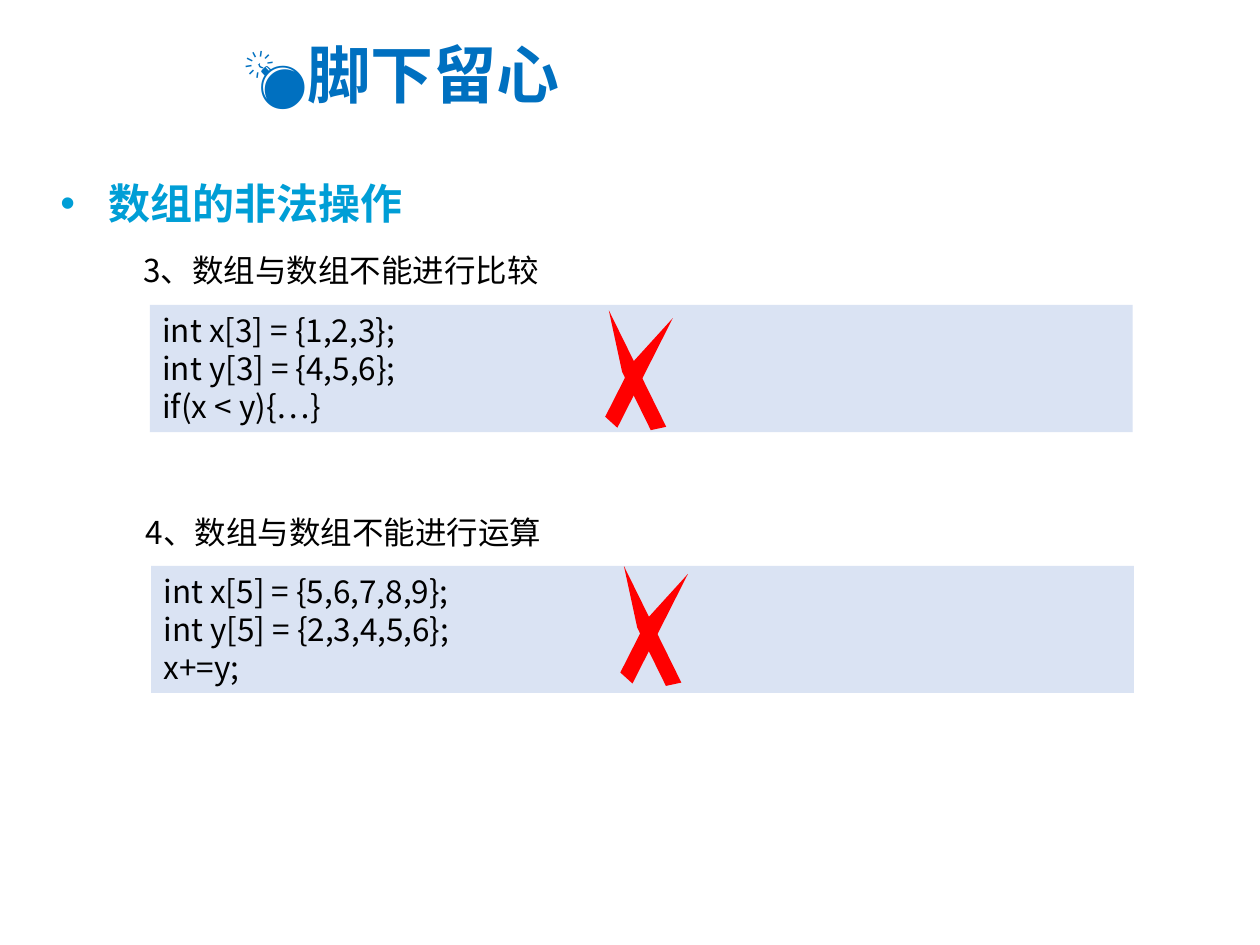
import pptx
import pptx.util
import pptx.dml.color
import pptx.enum.shapes
import pptx.enum.text
import pptx.oxml.ns
from lxml import etree

Inches, Pt = pptx.util.Inches, pptx.util.Pt
qn = pptx.oxml.ns.qn
MSO_SHAPE = pptx.enum.shapes.MSO_SHAPE
MSO_ANCHOR = pptx.enum.text.MSO_ANCHOR

# Content
FONT = "Noto Sans CJK SC"
TITLE = "💣脚下留心"
TOPIC = "数组的非法操作"
# Each mistake: heading, code, and the left/top of heading, code box and cross
MISTAKES = [
    {"heading": "3、数组与数组不能进行比较",
     "code": ["int x[3] = {1,2,3};", "int y[3] = {4,5,6};", "if(x < y){…}"],
     "heading_at": (0.54, 1.94), "code_at": (1.19, 2.42), "cross_at": (4.56, 2.8)},
    {"heading": "4、数组与数组不能进行运算",
     "code": ["int x[5] = {5,6,7,8,9};", "int y[5] = {2,3,4,5,6};", "x+=y;"],
     "heading_at": (0.56, 4.02), "code_at": (1.2, 4.49), "cross_at": (4.68, 4.83)},
]
# Strokes of a cross: offset x, offset y, width, height, rotation
CROSS_STROKES = [(0.09, 0.03, 0.94, 0.26, 312.3), (0, 0, 1, 0.25, 257.8)]


def color(hex_string):
    return pptx.dml.color.RGBColor.from_string(hex_string)


def place(part, left, top, width, height):
    part.left, part.top = Inches(left), Inches(top)
    part.width, part.height = Inches(width), Inches(height)


def write(part, lines, size=18, fill="000000", bold=False, indent=0, hanging=0,
          bullet=None, spacing=1.0, anchor=MSO_ANCHOR.TOP, wrap=True):
    frame = part.text_frame
    frame.auto_size = pptx.enum.text.MSO_AUTO_SIZE.NONE
    frame.word_wrap, frame.vertical_anchor = wrap, anchor
    for number, line in enumerate(lines):
        paragraph = frame.add_paragraph() if number else frame.paragraphs[0]
        paragraph.alignment = pptx.enum.text.PP_ALIGN.LEFT
        paragraph.line_spacing, paragraph.space_before = spacing, Pt(0)
        properties = paragraph._p.get_or_add_pPr()
        properties.set("marL", str(Inches(hanging)))
        properties.set("indent", str(Inches(indent - hanging)))
        if bullet:
            etree.SubElement(properties, qn("a:buFont")).set("typeface", "Arial")
            etree.SubElement(properties, qn("a:buChar")).set("char", bullet)
        else:
            etree.SubElement(properties, qn("a:buNone"))
        run = paragraph.add_run()
        run.text = line
        run.font.name, run.font.size, run.font.bold = FONT, Pt(size), bold
        run.font.color.rgb = color(fill)
        etree.SubElement(run._r.get_or_add_rPr(), qn("a:ea")).set("typeface", FONT)


def add_block(slide, kind, box, fill, rotation=0):
    block = slide.shapes.add_shape(kind, *map(Inches, box))
    block.shadow.inherit = False
    block.fill.solid()
    block.fill.fore_color.rgb = color(fill)
    block.line.fill.background()
    block.rotation = rotation
    return block


def main():
    deck = pptx.Presentation()
    deck.slide_width, deck.slide_height = Inches(10), Inches(7.5)
    slide = deck.slides.add_slide(deck.slide_layouts[1])

    # Title and topic
    title, topic = slide.shapes.title, slide.placeholders[1]
    place(title, 1.83, 0.16, 3.35, 0.84)
    write(title, [TITLE], size=36, fill="0070C0", bold=True, hanging=0.62,
          anchor=MSO_ANCHOR.MIDDLE)
    place(topic, 0.38, 1.16, 2.95, 0.71)
    write(topic, [TOPIC], size=24, fill="009ED6", bold=True, hanging=0.38,
          bullet="•", spacing=1.5, wrap=False)

    # Mistakes: heading, code box, red cross
    for mistake in MISTAKES:
        heading = slide.shapes.add_textbox(0, 0, 0, 0)
        place(heading, *mistake["heading_at"], 8.57, 0.4)
        write(heading, [mistake["heading"]], indent=0.5)

        code = add_block(slide, MSO_SHAPE.RECTANGLE,
                         (*mistake["code_at"], 7.8, 1.01), "DAE3F3")
        write(code, mistake["code"])

        left, top = mistake["cross_at"]
        for dx, dy, width, height, rotation in CROSS_STROKES:
            add_block(slide, MSO_SHAPE.DIAGONAL_STRIPE,
                      (left + dx, top + dy, width, height), "FF0000", rotation)

    deck.save("out.pptx")


if __name__ == "__main__":
    main()
